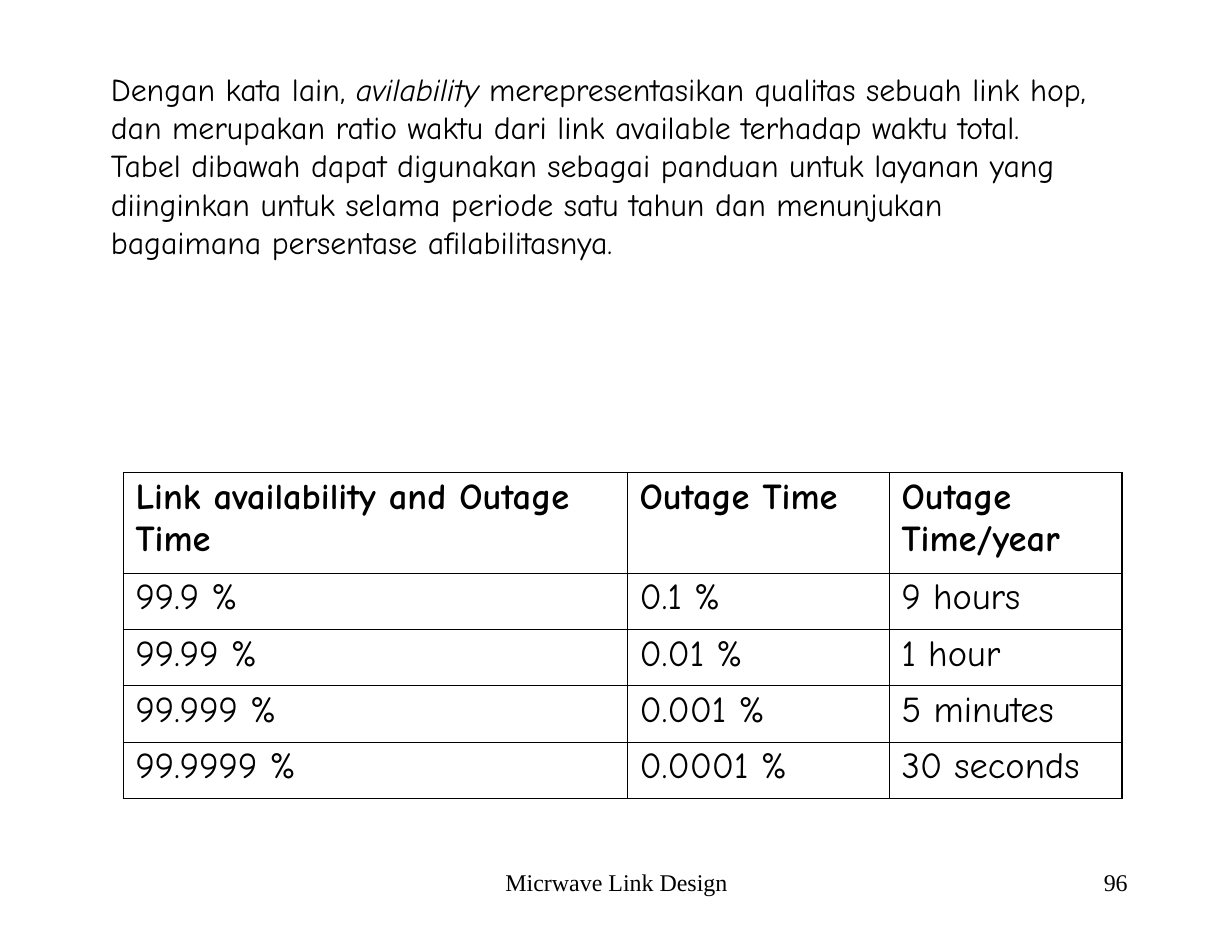
from lxml.etree import SubElement
from pptx import Presentation
from pptx.dml.color import RGBColor
from pptx.enum.text import MSO_AUTO_SIZE as AutoSize, MSO_ANCHOR as Anchor, PP_ALIGN as Align
from pptx.oxml.ns import qn
from pptx.util import Pt

BLACK = "000000"
SERIF = "Times New Roman"
HAND = "Comic Neue"


def color(value):
    return RGBColor.from_string(value)


class SlideBuilder:
    """Hold the text style and the current slide, and add its elements."""

    ink = BLACK
    body_size = 27.9
    table_size = 32
    footer_size = 21
    inner_line = 0.45
    outer_line = 1.08

    def __init__(self, slide):
        self.slide = slide

    def run(self, paragraph, text, font_name, size, bold=False, italic=False):
        run = paragraph.add_run()
        run.text = text
        font = run.font
        font.name, font.size = font_name, Pt(size)
        font.bold, font.italic = bold, italic
        font.color.rgb = color(self.ink)

    def frame(self, shape):
        frame = shape.text_frame
        frame.word_wrap = True
        frame.auto_size = AutoSize.NONE
        frame.vertical_anchor = Anchor.TOP
        frame.margin_left = frame.margin_right = Pt(10.8)
        frame.margin_top = frame.margin_bottom = Pt(5.6)
        return frame

    def body(self, left, top, width, height, runs):
        shape = self.slide.placeholders[1]
        shape.left, shape.top = Pt(left), Pt(top)
        shape.width, shape.height = Pt(width), Pt(height)
        paragraph = self.frame(shape).paragraphs[0]
        properties = paragraph._p.get_or_add_pPr()
        properties.set("marL", str(Pt(41)))
        properties.set("indent", "0")
        SubElement(properties, qn("a:buNone"))
        paragraph.space_before = Pt(0)
        for text, italic in runs:
            self.run(paragraph, text, HAND, self.body_size, italic=italic)

    def footer(self, left, width, text, alignment):
        shape = self.slide.shapes.add_textbox(Pt(left), Pt(754.6), Pt(width), Pt(55.4))
        paragraph = self.frame(shape).paragraphs[0]
        paragraph.alignment = alignment
        self.run(paragraph, text, SERIF, self.footer_size)

    def border(self, cell, side, width):
        line = SubElement(cell._tc.get_or_add_tcPr(), qn(f"a:ln{side}"))
        line.set("w", str(Pt(width)))
        fill = SubElement(line, qn("a:solidFill"))
        SubElement(fill, qn("a:srgbClr")).set("val", self.ink)

    def table(self, left, top, widths, heights, rows):
        shape = self.slide.shapes.add_table(
            len(rows), len(widths), Pt(left), Pt(top), Pt(sum(widths)), Pt(sum(heights)))
        table = shape.table
        table.first_row = table.horz_banding = False
        for column, width in zip(table.columns, widths):
            column.width = Pt(width)
        for row, height in zip(table.rows, heights):
            row.height = Pt(height)
        last_row, last_column = len(rows) - 1, len(widths) - 1
        for i, texts in enumerate(rows):
            for j, text in enumerate(texts):
                cell = table.cell(i, j)
                outer = {"L": j == 0, "R": j == last_column, "T": i == 0, "B": i == last_row}
                for side, is_outer in outer.items():
                    self.border(cell, side, self.outer_line if is_outer else self.inner_line)
                cell.fill.background()
                cell.margin_left = cell.margin_right = Pt(10.8)
                cell.margin_top = cell.margin_bottom = Pt(3.6)
                self.run(cell.text_frame.paragraphs[0], text, HAND, self.table_size, bold=i == 0)


def main():
    presentation = Presentation()
    presentation.slide_width, presentation.slide_height = Pt(1080), Pt(828)
    slide = presentation.slides.add_slide(presentation.slide_layouts[1])
    title = slide.shapes.title._element
    title.getparent().remove(title)

    builder = SlideBuilder(slide)
    builder.footer(369.4, 342, "Micrwave Link Design", Align.CENTER)
    builder.footer(774, 225.4, "96", Align.RIGHT)
    builder.body(45.4, 55.4, 926.6, 294.5, [
        ("Dengan kata lain, ", False),
        ("avilability", True),
        (" merepresentasikan qualitas sebuah link hop, dan merupakan ratio waktu dari link "
         "available terhadap waktu total. Tabel dibawah dapat digunakan sebagai panduan untuk "
         "layanan yang diinginkan untuk selama periode satu tahun dan menunjukan bagaimana "
         "persentase afilabilitasnya.", False),
    ])
    builder.table(108, 414, [442, 229.6, 204], [88] + [49.4] * 4, [
        ["Link availability and Outage Time", "Outage Time", "Outage Time/year"],
        ["99.9 %", "0.1 %", "9 hours"],
        ["99.99 %", "0.01 %", "1 hour"],
        ["99.999 %", "0.001 %", "5 minutes"],
        ["99.9999 %", "0.0001 %", "30 seconds"],
    ])
    presentation.save("out.pptx")


if __name__ == "__main__":
    main()
